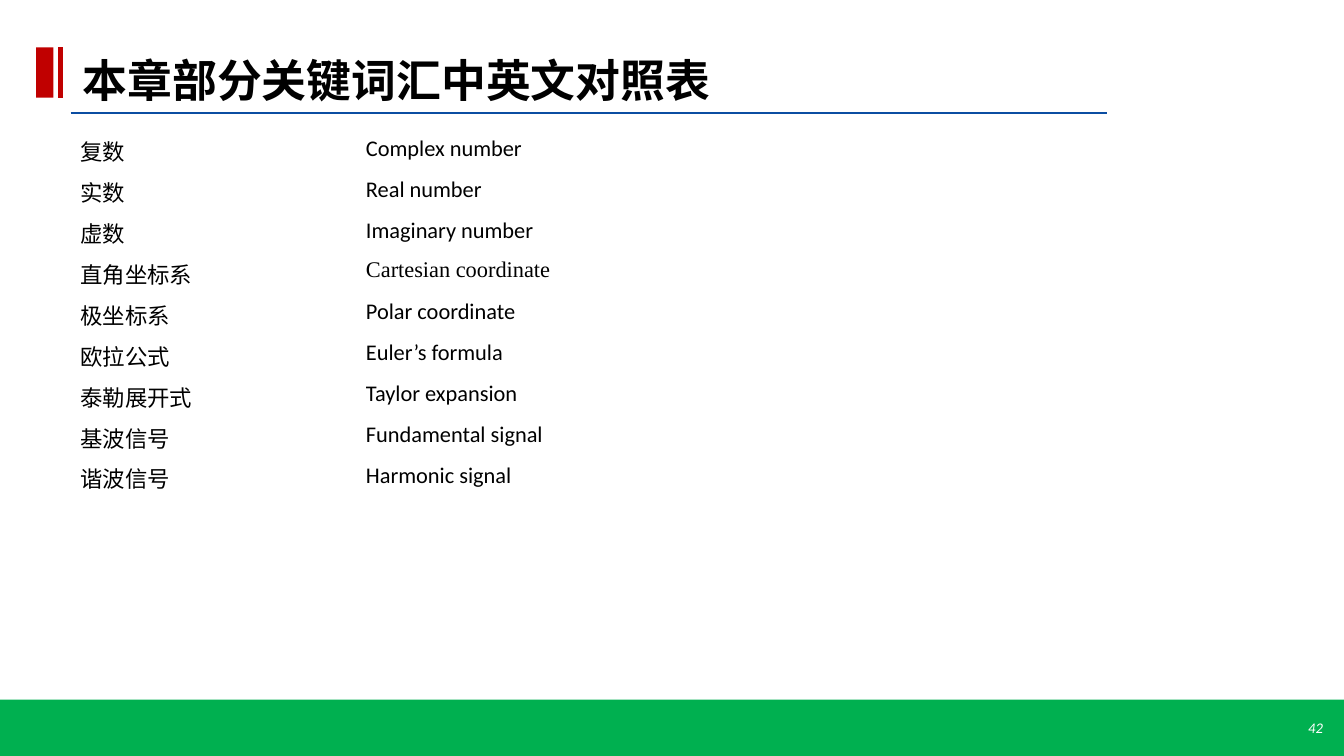
"""Build the glossary slide with Chinese and English key terms."""
from lxml.etree import SubElement
from pptx import Presentation
from pptx.dml.color import RGBColor
from pptx.enum.shapes import MSO_CONNECTOR as Link, MSO_SHAPE as Shape
from pptx.enum.text import MSO_ANCHOR as Anchor, PP_ALIGN as Align
from pptx.oxml.ns import qn
from pptx.util import Inches, Pt

GREEN = RGBColor(0x00, 0xB0, 0x50)
BLUE = RGBColor(0x0B, 0x4D, 0xA2)
RED = RGBColor(0xC0, 0x00, 0x00)
BLACK = RGBColor(0x00, 0x00, 0x00)
WHITE = RGBColor(0xFF, 0xFF, 0xFF)

TERMS = [
    ("复数", "Complex number"),
    ("实数", "Real number"),
    ("虚数", "Imaginary number"),
    ("直角坐标系", "Cartesian coordinate"),
    ("极坐标系", "Polar coordinate"),
    ("欧拉公式", "Euler’s formula"),
    ("泰勒展开式", "Taylor expansion"),
    ("基波信号", "Fundamental signal"),
    ("谐波信号", "Harmonic signal"),
]


def style(para, size, color, name="Calibri"):
    font = para.font
    font.name, font.size, font.color.rgb = name, Pt(size), color
    return font


prs = Presentation()
prs.slide_width, prs.slide_height = Inches(13.33), Inches(7.5)
slide = prs.slides.add_slide(prs.slide_layouts[5])
shapes = slide.shapes

for x, y, w, h, color in [(0, 6.94, 13.33, 0.56, GREEN), (0.36, 0.47, 0.17, 0.5, RED)]:
    bar = shapes.add_shape(Shape.RECTANGLE, Inches(x), Inches(y), Inches(w), Inches(h))
    bar.shadow.inherit = False
    bar.fill.solid()
    bar.fill.fore_color.rgb = color
    bar.line.fill.background()

for x1, y1, x2, y2, color, width in [
    (0.7, 1.12, 10.98, 1.12, BLUE, 1.5),
    (0.6, 0.47, 0.6, 0.97, RED, 3),
]:
    rule = shapes.add_connector(Link.STRAIGHT, Inches(x1), Inches(y1), Inches(x2), Inches(y2))
    rule.line.color.rgb = color
    rule.line.width = Pt(width)
    SubElement(rule._element.spPr, qn("a:effectLst"))

title = shapes.title
title.left, title.top = Inches(0.72), Inches(0.25)
title.width, title.height = Inches(10.26), Inches(0.86)
title.text_frame.text = "本章部分关键词汇中英文对照表"
title.text_frame.vertical_anchor = Anchor.BOTTOM
head = title.text_frame.paragraphs[0]
head.alignment = Align.LEFT
head.line_spacing = 0.85
style(head, 32, BLACK).bold = True

page = shapes.add_textbox(Inches(11.79), Inches(7.02), Inches(1.43), Inches(0.4)).text_frame
page.word_wrap = True
page.vertical_anchor = Anchor.MIDDLE
page.text = "42"
page.paragraphs[0].alignment = Align.RIGHT
style(page.paragraphs[0], 10.5, WHITE).italic = True

table = shapes.add_table(
    len(TERMS), 2, Inches(0.7), Inches(1.29), Inches(5.66), Inches(3.65)
).table
table.first_row = table.horz_banding = False
for row, pair in zip(table.rows, TERMS):
    for cell, term in zip(row.cells, pair):
        cell.text = term
        cell.fill.background()
        name = "Times New Roman" if term == "Cartesian coordinate" else "Calibri"
        style(cell.text_frame.paragraphs[0], 16, BLACK, name)

prs.save("out.pptx")
